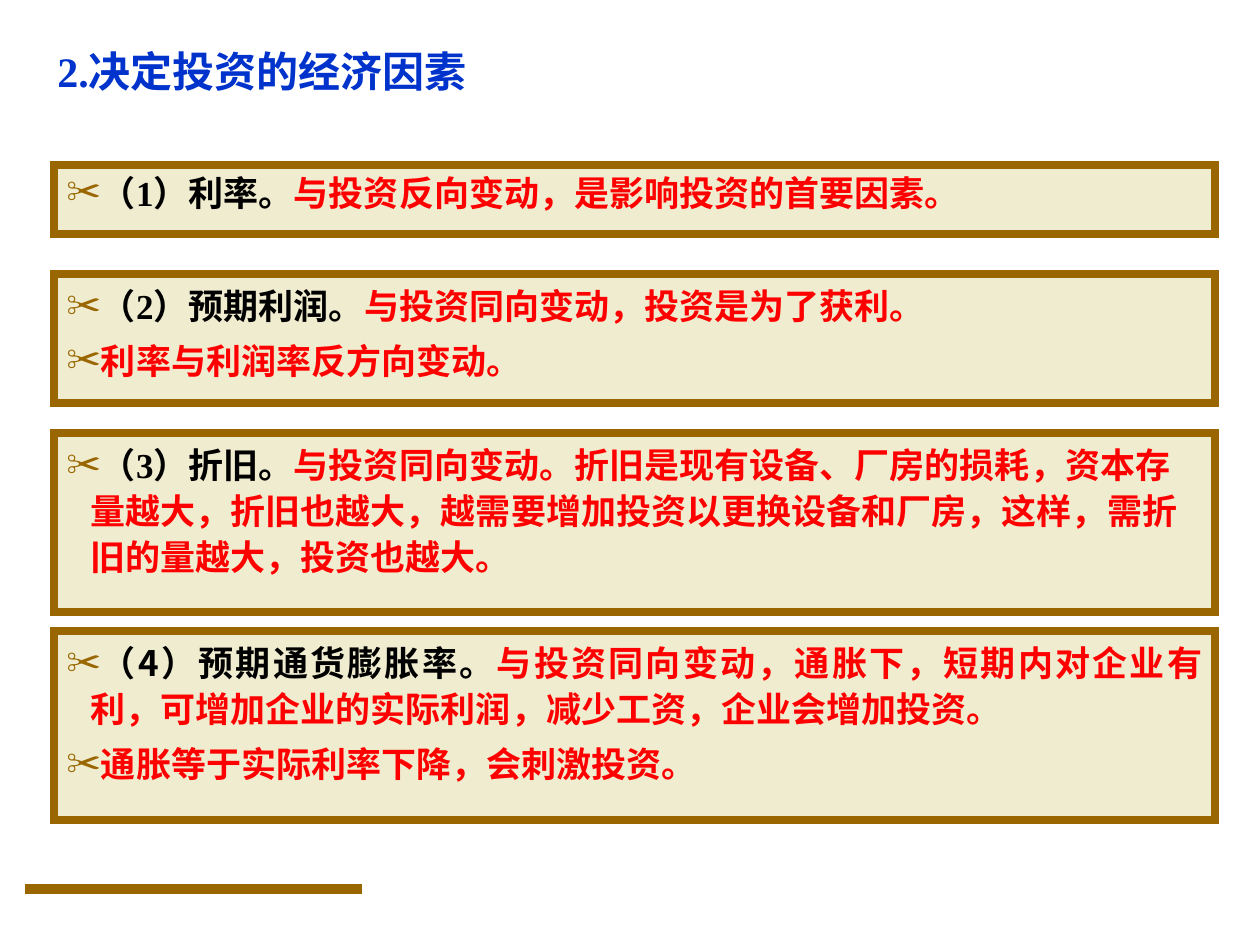
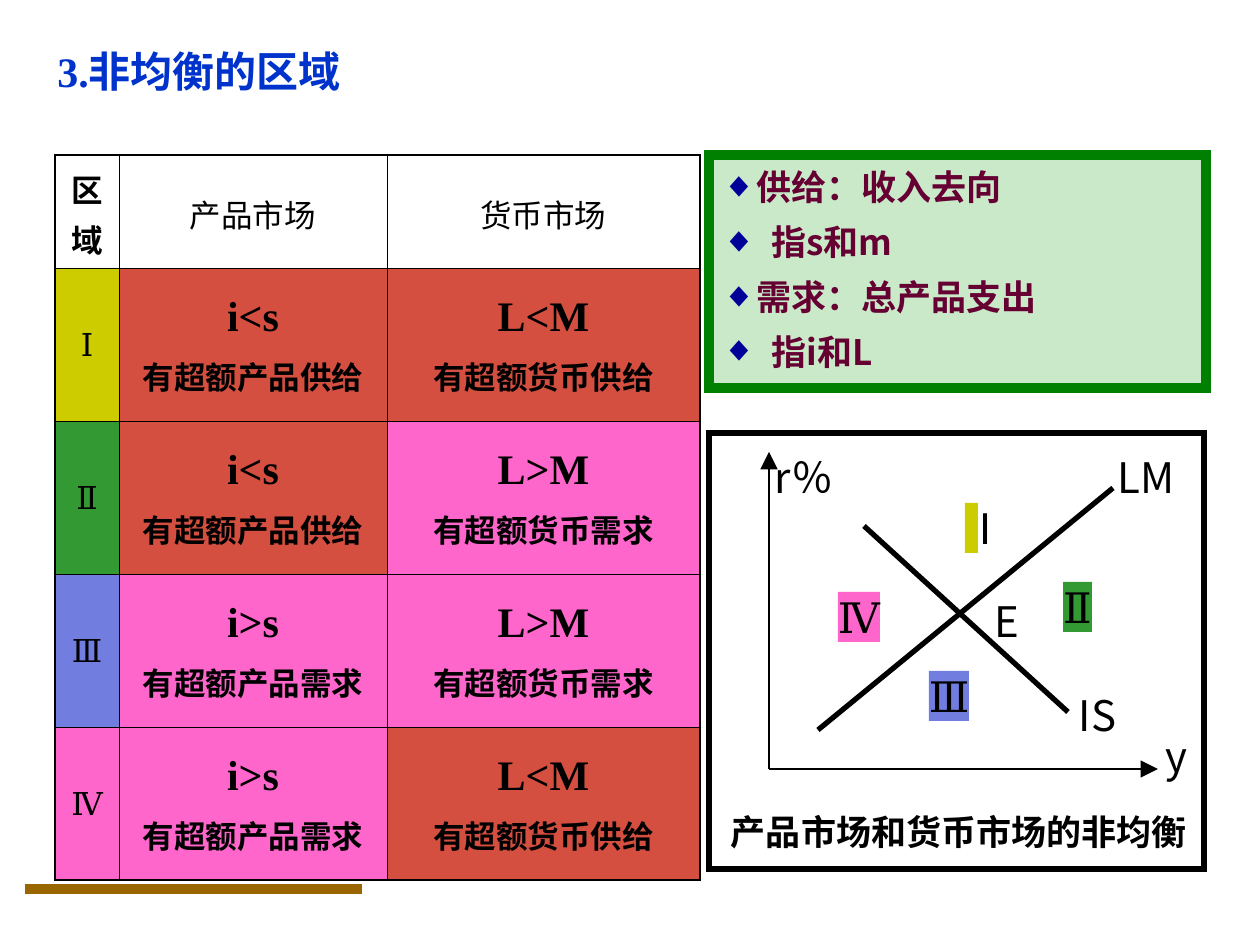
from lxml import etree
from pptx import Presentation
from pptx.dml.color import RGBColor
from pptx.enum.shapes import MSO_CONNECTOR as CONN, MSO_SHAPE as SHAPE
from pptx.enum.text import MSO_ANCHOR as ANCHOR, MSO_AUTO_SIZE as AUTO, PP_ALIGN as ALIGN
from pptx.oxml.ns import qn
from pptx.util import Emu, Pt

PX = 914400 / 126
SERIF, SANS = "Times New Roman", "Noto Sans CJK SC"
COLORS = {
    "title": "0033CC", "brown": "996600", "cream": "E9E2B6", "black": "000000",
    "red": "FF0000", "white": "FFFFFF", "green fill": "009900", "green line": "008000",
    "navy": "000099", "plum": "660033", "supply": "D54F41", "demand": "FF66CC",
    "Ⅰ": "CCCC00", "Ⅱ": "339933", "Ⅲ": "727DE0", "Ⅳ": "FF66CC",
}

# top, height, line spacing, label font, paragraphs of (label, explanation), first justified
FACTORS = [
    (165, 69, 1.0, SERIF, [("（1）利率。", "与投资反向变动，是影响投资的首要因素。")], False),
    (274, 129, 1.1, SERIF, [("（2）预期利润。", "与投资同向变动，投资是为了获利。"),
                            ("", "利率与利润率反方向变动。")], False),
    (433, 179, 1.1, SERIF, [("（3）折旧。", "与投资同向变动。折旧是现有设备、厂房的损耗，资本存量越大，"
                             "折旧也越大，越需要增加投资以更换设备和厂房，这样，需折旧的量越大，"
                             "投资也越大。")], False),
    (631, 189, 1.1, SANS, [("（4）预期通货膨胀率。", "与投资同向变动，通胀下，短期内对企业有利，"
                            "可增加企业的实际利润，减少工资，企业会增加投资。"),
                           ("", "通胀等于实际利率下降，会刺激投资。")], True),
]

HEADERS = ["区域", "产品市场", "货币市场"]
REGIONS = [("Ⅰ", "i<s", "L<M"), ("Ⅱ", "i<s", "L>M"), ("Ⅲ", "i>s", "L>M"), ("Ⅳ", "i>s", "L<M")]
MARKETS = ["产品", "货币"]
COL_WIDTHS, HEADER_HEIGHT, ROW_HEIGHT = [64, 268, 313], 113, 153

# text, hanging indent
DEFINITIONS = [("供给：收入去向", 24), ("指s和m", 50), ("需求：总产品支出", 24), ("指i和L", 50)]

AXES = [(769, 769, 1158, 769), (769, 769, 769, 452)]
CURVES = [(818, 730, 1113, 488), (864, 526, 1068, 712)]
# text, left, top, width, height, size, bold
GRAPH_LABELS = [
    ("LM", 1118, 452, 60, 50, 24, False), ("IS", 1079, 690, 38, 50, 24, False),
    ("y", 1166, 731, 21, 50, 24, False), ("r％", 775, 452, 69, 50, 24, False),
    ("产品市场和货币市场的非均衡", 731, 810, 456, 42, 20, True),
    ("E", 995, 596, 24, 50, 24, False),
]
# region, left, top, width, font
REGION_TAGS = [("Ⅰ", 965, 503, 13, SANS), ("Ⅱ", 1063, 582, 29, SERIF),
               ("Ⅲ", 929, 671, 40, SERIF), ("Ⅳ", 838, 592, 42, SERIF)]


def px(*lengths):
    return [Emu(round(n * PX)) for n in lengths]


def rgb(name):
    return RGBColor.from_string(COLORS[name])


def add_run(p, text, size, color="black", bold=False, face=SERIF):
    r = p.add_run()
    r.text = text
    font = r.font
    font.size, font.bold, font.name = Pt(size), bold, face
    font.color.rgb = rgb(color)
    ea = etree.SubElement(font._element, qn("a:ea"))
    ea.set("typeface", face if text in COLORS else SANS)


def next_paragraph(tf, index, spacing=1.0, before=0):
    """Paragraph whose punctuation stays inside the text area."""
    p = tf.add_paragraph() if index else tf.paragraphs[0]
    p.line_spacing = spacing
    p.space_before = Pt(before if index else 0)
    p._p.get_or_add_pPr().set("hangingPunct", "0")
    return p


def set_bullet(p, char, color, indent):
    props = p._p.get_or_add_pPr()
    hang = px(indent)[0]
    props.set("marL", str(hang))
    props.set("indent", str(-hang))
    clr = etree.SubElement(props, qn("a:buClr"))
    etree.SubElement(clr, qn("a:srgbClr"), val=COLORS[color])
    etree.SubElement(props, qn("a:buFont"), typeface=SERIF)
    etree.SubElement(props, qn("a:buChar"), char=char)


def add_box(slide, box, fill, line=None, width=0, alpha=100):
    s = slide.shapes.add_shape(SHAPE.RECTANGLE, *px(*box))
    s.shadow.inherit = False
    s.fill.solid()
    s.fill.fore_color.rgb = rgb(fill)
    if alpha < 100:
        clr = s._element.spPr.find(qn("a:solidFill"))[0]
        etree.SubElement(clr, qn("a:alpha"), val=str(alpha * 1000))
    if line:
        s.line.color.rgb, s.line.width = rgb(line), Pt(width)
        etree.SubElement(s.line._get_or_add_ln(), qn("a:miter"), lim="800000")
    else:
        s.line.fill.background()
    s.text_frame.vertical_anchor = ANCHOR.TOP
    s.text_frame.paragraphs[0].alignment = ALIGN.LEFT
    return s


def add_line(slide, ends, color, width, arrow=False):
    s = slide.shapes.add_connector(CONN.STRAIGHT, *px(*ends))
    s.line.color.rgb, s.line.width = rgb(color), Pt(width)
    if arrow:
        etree.SubElement(s.line._get_or_add_ln(), qn("a:tailEnd"),
                         type="triangle", w="lg", len="lg")
    etree.SubElement(s._element.spPr, qn("a:effectLst"))


def fit_label(s, text, size, bold=False, face=SANS):
    tf = s.text_frame
    tf.margin_left = tf.margin_top = tf.margin_right = tf.margin_bottom = 0
    tf.word_wrap, tf.auto_size = False, AUTO.SHAPE_TO_FIT_TEXT
    add_run(tf.paragraphs[0], text, size, bold=bold, face=face)


def new_slide(prs, title):
    """Blank slide with the shared title and footer bar."""
    slide = prs.slides.add_slide(prs.slide_layouts[6])
    tf = slide.shapes.add_textbox(*px(45, 26, 804, 89)).text_frame
    tf.word_wrap, tf.vertical_anchor = True, ANCHOR.MIDDLE
    add_run(tf.paragraphs[0], title, 24, "title", True)
    add_line(slide, (25, 889, 362, 889), "brown", 6)
    return slide


def add_factor(slide, top, height, spacing, face, paragraphs, justified):
    tf = add_box(slide, (54, top, 1161, height), "cream", "brown", 4.5, 64).text_frame
    for i, (label, explanation) in enumerate(paragraphs):
        p = next_paragraph(tf, i, spacing, 5)
        p.alignment = ALIGN.JUSTIFY if justified and i == 0 else ALIGN.LEFT
        set_bullet(p, "✂", "brown", 24)
        if label:
            add_run(p, label, 20, bold=True, face=face)
        add_run(p, explanation, 20, "red", True)


def set_borders(cell, row, col, last_row, last_col):
    """Thick on the table's outer edge, thin inside."""
    outer = {"lnL": col == 0, "lnR": col == last_col, "lnT": row == 0, "lnB": row == last_row}
    props = cell._tc.get_or_add_tcPr()
    for i, (tag, thick) in enumerate(outer.items()):
        ln = etree.Element(qn("a:" + tag), w=str(Pt(1.47 if thick else 0.45)))
        fill = etree.SubElement(ln, qn("a:solidFill"))
        etree.SubElement(fill, qn("a:srgbClr"), val=COLORS["black"])
        props.insert(i, ln)


def region_rows():
    """Rows of cells, each a fill and its lines of (text, size, bold)."""
    yield [("white", [(h, 18, h == HEADERS[0])]) for h in HEADERS]
    for region, *relations in REGIONS:
        row = [(region, [(region, 18, False)])]
        for market, relation in zip(MARKETS, relations):
            demand = relation in ("i>s", "L>M")
            note = f"有超额{market}{'需求' if demand else '供给'}"
            row.append(("demand" if demand else "supply",
                        [(relation, 24, True), (note, 18, True)]))
        yield row


def add_region_table(slide):
    rows = list(region_rows())
    height = HEADER_HEIGHT + ROW_HEIGHT * len(REGIONS)
    table = slide.shapes.add_table(len(rows), len(HEADERS),
                                   *px(55, 155, sum(COL_WIDTHS), height)).table
    for column, width in zip(table.columns, px(*COL_WIDTHS)):
        column.width = width
    for i, row in enumerate(rows):
        table.rows[i].height = px(ROW_HEIGHT if i else HEADER_HEIGHT)[0]
        for j, (fill, lines) in enumerate(row):
            cell = table.cell(i, j)
            cell.fill.solid()
            cell.fill.fore_color.rgb = rgb(fill)
            cell.vertical_anchor = ANCHOR.MIDDLE
            cell.margin_left = cell.margin_right = px(3)[0]
            for k, (text, size, bold) in enumerate(lines):
                p = next_paragraph(cell.text_frame, k, 1.1, 4.5)
                p.alignment = ALIGN.CENTER
                add_run(p, text, size, bold=bold)
            set_borders(cell, i, j, len(rows) - 1, len(row) - 1)


def add_definitions(slide):
    tf = add_box(slide, (709, 155, 497, 233), "green fill", "green line", 6, 21).text_frame
    for i, (text, indent) in enumerate(DEFINITIONS):
        p = next_paragraph(tf, i, 1.1, 5)
        p.alignment = ALIGN.LEFT
        p.level = int(indent > 24)
        set_bullet(p, "◆", "navy", indent)
        add_run(p, text, 20, "plum", True, SANS)


def add_graph(slide):
    add_box(slide, (709, 433, 495, 436), "white", "black", 3)
    for axis in AXES:
        add_line(slide, axis, "black", 1.13, arrow=True)
    for curve in CURVES:
        add_line(slide, curve, "black", 3)
    for text, left, top, width, height, size, bold in GRAPH_LABELS:
        s = slide.shapes.add_textbox(*px(left, top, width, height))
        fit_label(s, text, size, bold)
    for region, left, top, width, face in REGION_TAGS:
        fit_label(add_box(slide, (left, top, width, 50), region), region, 24, face=face)


def main():
    prs = Presentation()
    prs.slide_width, prs.slide_height = px(1260, 945)
    slide = new_slide(prs, "2.决定投资的经济因素")
    for factor in FACTORS:
        add_factor(slide, *factor)
    slide = new_slide(prs, "3.非均衡的区域")
    add_region_table(slide)
    add_definitions(slide)
    add_graph(slide)
    prs.save("out.pptx")


if __name__ == "__main__":
    main()
